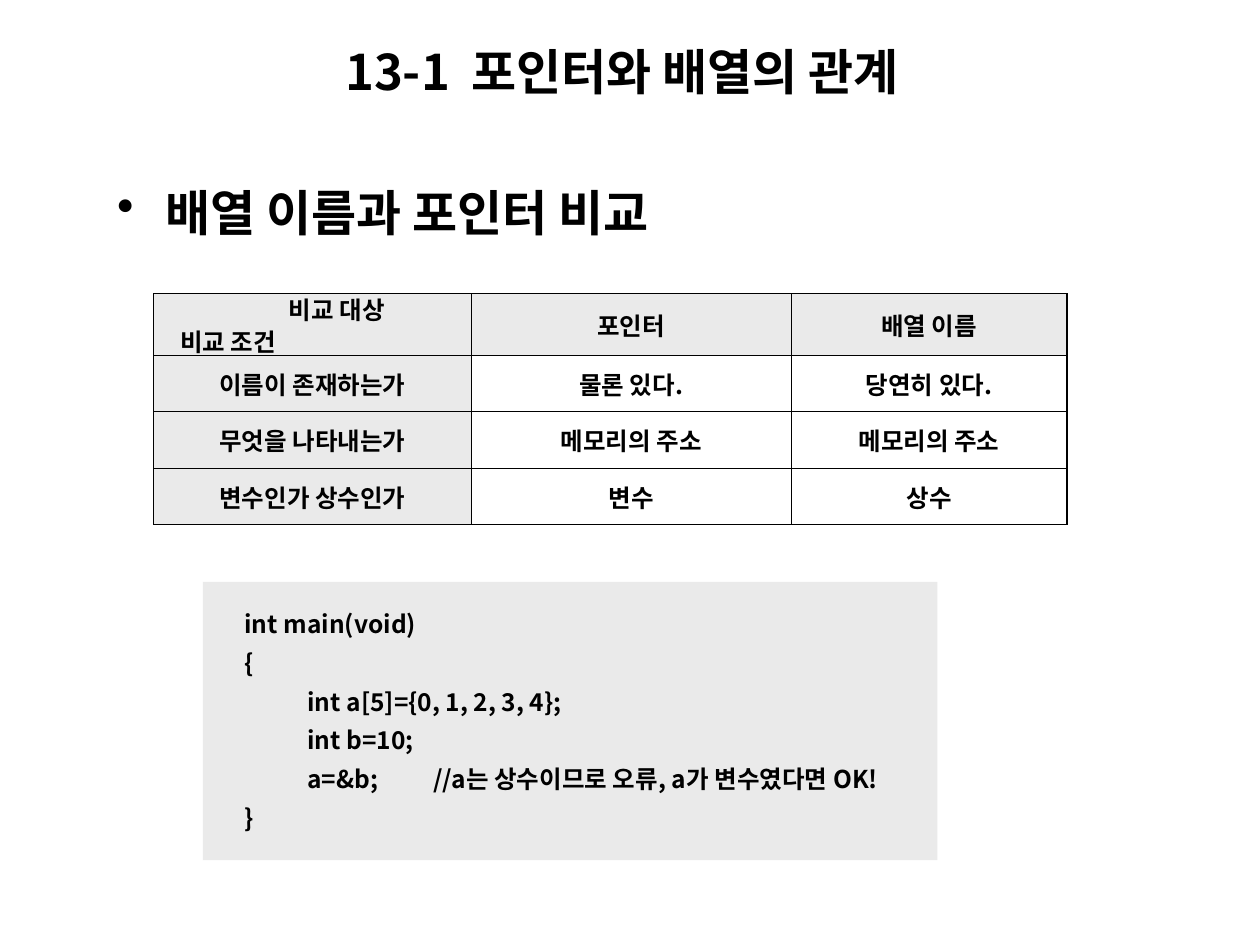
"""Build a slide that compares array names with pointers in C."""
from dataclasses import dataclass

from lxml import etree
from pptx import Presentation
from pptx.dml.color import RGBColor
from pptx.enum.shapes import MSO_SHAPE
from pptx.enum.text import MSO_ANCHOR, MSO_AUTO_SIZE, PP_ALIGN
from pptx.oxml.ns import qn
from pptx.slide import Slide
from pptx.table import _Cell
from pptx.text.text import TextFrame
from pptx.util import Cm, Pt

RECTANGLE = MSO_SHAPE.RECTANGLE
TOP = MSO_ANCHOR.TOP
MIDDLE = MSO_ANCHOR.MIDDLE
FIT_SHAPE = MSO_AUTO_SIZE.SHAPE_TO_FIT_TEXT
LEFT = PP_ALIGN.LEFT
CENTER = PP_ALIGN.CENTER

BLACK = RGBColor(0x00, 0x00, 0x00)
GRAY = RGBColor(0xEA, 0xEA, 0xEA)
FONT = "Noto Sans CJK KR"
OUTER_BORDER = Pt(0.75)
INNER_BORDER = Pt(0.45)


@dataclass(frozen=True)
class Box:
    """Hold a position and size in centimetres."""

    left: float
    top: float
    width: float
    height: float

    def lengths(self) -> tuple[Cm, Cm, Cm, Cm]:
        """Return the four values as slide lengths."""
        return Cm(self.left), Cm(self.top), Cm(self.width), Cm(self.height)


@dataclass(frozen=True)
class Line:
    """Hold one line of text and its left margin in centimetres."""

    text: str
    margin: float = 0


TITLE_BOX = Box(6.71, 0.71, 13.39, 1.45)
HEADING_BOX = Box(2.11, 3.43, 13, 1.57)
TABLE_BOX = Box(3.1, 5.92, 18.41, 4.66)
CODE_BOX = Box(4.09, 11.73, 14.81, 5.61)
COLUMN_WIDTHS = (6.4, 6.45, 5.56)
ROW_HEIGHTS = (1.24, 1.14, 1.14, 1.14)
CORNER_LINES = [Line("비교 대상", 2.47), Line("비교 조건", 0.28)]
TABLE_ROWS = (
    ("", "포인터", "배열 이름"),
    ("이름이 존재하는가", "물론 있다.", "당연히 있다."),
    ("무엇을 나타내는가", "메모리의 주소", "메모리의 주소"),
    ("변수인가 상수인가", "변수", "상수"),
)
CODE_LINES = (
    "int main(void)",
    "{",
    "\tint a[5]={0, 1, 2, 3, 4};",
    "\tint b=10;",
    "\ta=&b;\t//a는 상수이므로 오류, a가 변수였다면 OK!",
    "}",
)


def write_text(
    frame: TextFrame,
    lines: list[Line],
    *,
    size: float = 14,
    align: PP_ALIGN = LEFT,
    spacing: float = 1,
    before: float = 0,
    bullet: str = "",
    tabs: tuple[float, ...] = (),
) -> None:
    """Write formatted paragraphs into a text frame."""
    for index, line in enumerate(lines):
        paragraph = frame.paragraphs[0] if index == 0 else frame.add_paragraph()
        paragraph.alignment = align
        paragraph.line_spacing = spacing
        paragraph.space_before = Pt(before)
        run = paragraph.add_run()
        run.text = line.text
        run.font.name = FONT
        run.font.size = Pt(size)
        run.font.bold = True
        run.font.color.rgb = BLACK
        etree.SubElement(run.font._element, qn("a:ea"), typeface=FONT)
        properties = paragraph._p.get_or_add_pPr()
        properties.set("marL", str(Cm(line.margin)))
        properties.set("indent", str(-Cm(line.margin) if bullet else 0))
        if bullet:
            etree.SubElement(properties, qn("a:buChar"), char=bullet)
        if tabs:
            tab_list = etree.SubElement(properties, qn("a:tabLst"))
            for position in tabs:
                etree.SubElement(tab_list, qn("a:tab"), pos=str(Cm(position)), algn="l")


def add_text_box(slide: Slide, box: Box, anchor: MSO_ANCHOR) -> TextFrame:
    """Add a wrapping text box and return its text frame."""
    frame = slide.shapes.add_textbox(*box.lengths()).text_frame
    frame.word_wrap = True
    frame.auto_size = FIT_SHAPE
    frame.vertical_anchor = anchor
    return frame


def set_borders(cell: _Cell, outer_sides: dict[str, bool]) -> None:
    """Draw the cell borders, heavier on the outside of the table."""
    properties = cell._tc.get_or_add_tcPr()
    for side, is_outer in outer_sides.items():
        width = OUTER_BORDER if is_outer else INNER_BORDER
        border = etree.SubElement(properties, qn(f"a:ln{side}"), w=str(width))
        fill = etree.SubElement(border, qn("a:solidFill"))
        etree.SubElement(fill, qn("a:srgbClr"), val=str(BLACK))


def add_comparison_table(slide: Slide) -> None:
    """Add the table with a shaded header row and column."""
    row_count, column_count = len(ROW_HEIGHTS), len(COLUMN_WIDTHS)
    shape = slide.shapes.add_table(row_count, column_count, *TABLE_BOX.lengths())
    table = shape.table
    table.first_row = table.horz_banding = False
    for column, width in zip(table.columns, COLUMN_WIDTHS):
        column.width = Cm(width)
    for row, height in zip(table.rows, ROW_HEIGHTS):
        row.height = Cm(height)
    for row_index, texts in enumerate(TABLE_ROWS):
        for column_index, text in enumerate(texts):
            cell = table.cell(row_index, column_index)
            cell.vertical_anchor = MIDDLE
            set_borders(cell, {
                "L": column_index == 0,
                "R": column_index == column_count - 1,
                "T": row_index == 0,
                "B": row_index == row_count - 1,
            })
            if row_index == 0 or column_index == 0:
                cell.fill.solid()
                cell.fill.fore_color.rgb = GRAY
            else:
                cell.fill.background()
            if text:
                write_text(cell.text_frame, [Line(text)], align=CENTER, before=3.5)
            else:
                write_text(cell.text_frame, CORNER_LINES, spacing=0.7, before=3.5)


def add_code_panel(slide: Slide) -> None:
    """Add the shaded panel with the sample program."""
    panel = slide.shapes.add_shape(RECTANGLE, *CODE_BOX.lengths())
    panel.shadow.inherit = False
    panel.fill.solid()
    panel.fill.fore_color.rgb = GRAY
    panel.line.fill.background()
    frame = panel.text_frame
    frame.word_wrap = True
    frame.vertical_anchor = MIDDLE
    frame.margin_left, frame.margin_top = Cm(0.84), Cm(0.33)
    frame.margin_right, frame.margin_bottom = Cm(0.25), Cm(0.53)
    lines = [Line(text) for text in CODE_LINES]
    write_text(frame, lines, spacing=1.32, tabs=(0.44, 2.22))


def main() -> None:
    """Build and save the presentation."""
    presentation = Presentation()
    presentation.slide_width, presentation.slide_height = Cm(25.4), Cm(19.05)
    slide = presentation.slides.add_slide(presentation.slide_layouts[6])
    heading = add_text_box(slide, HEADING_BOX, TOP)
    write_text(heading, [Line("배열 이름과 포인터 비교", 0.97)],
               size=28, spacing=1.1, before=7, bullet="•")
    add_comparison_table(slide)
    add_code_panel(slide)
    title = add_text_box(slide, TITLE_BOX, MIDDLE)
    write_text(title, [Line("13-1\t포인터와 배열의 관계")], size=28, tabs=(2.79,))
    presentation.save("out.pptx")


if __name__ == "__main__":
    main()
